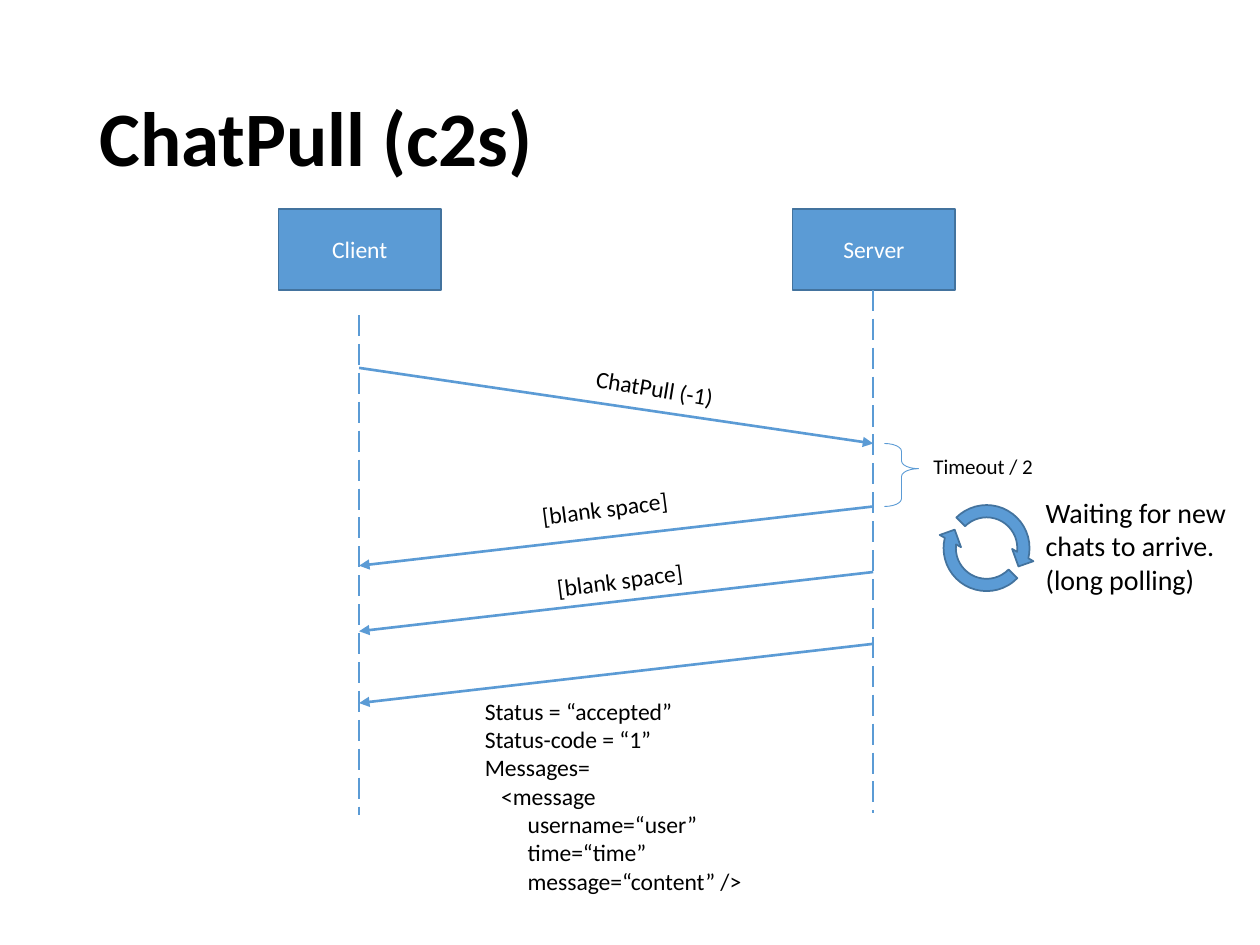
from pptx import Presentation
from pptx.dml.color import RGBColor
from pptx.enum.dml import MSO_LINE
from pptx.enum.shapes import MSO_CONNECTOR, MSO_SHAPE
from pptx.enum.text import MSO_ANCHOR, MSO_AUTO_SIZE, PP_ALIGN
from pptx.oxml.ns import qn
from pptx.util import Inches, Pt
from lxml.etree import SubElement

BLUE = RGBColor(0x5B, 0x9B, 0xD5)
DARK_BLUE = RGBColor(0x43, 0x73, 0x9E)
BLACK = RGBColor(0, 0, 0)
WHITE = RGBColor(255, 255, 255)
FONT = "Calibri"

CLIENT_X, SERVER_X = 2.85, 6.93
REPLY_DROP = 0.47

MESSAGE_LINES = [
    ("Status = “accepted”", 0),
    ("Status-code = “1”", 0),
    ("Messages=", 0),
    ("<message", 0.13),
    ("username=“user”", 0.34),
    ("time=“time”", 0.34),
    ("message=“content” />", 0.34),
]


def write_text(shape, lines, size=13.5, color=BLACK, bold=False,
               align=PP_ALIGN.LEFT, anchor=MSO_ANCHOR.TOP, wrap=True,
               grow=False, spacing=None):
    """Fill a shape with (text, indent) lines, or with one plain string."""
    if isinstance(lines, str):
        lines = [(lines, 0)]
    frame = shape.text_frame
    frame.word_wrap = wrap
    frame.vertical_anchor = anchor
    frame.auto_size = (MSO_AUTO_SIZE.SHAPE_TO_FIT_TEXT if grow
                       else MSO_AUTO_SIZE.NONE)
    for index, (text, indent) in enumerate(lines):
        paragraph = frame.add_paragraph() if index else frame.paragraphs[0]
        paragraph.text = text
        paragraph.alignment = align
        if spacing:
            paragraph.line_spacing = spacing
        if indent:
            paragraph._p.get_or_add_pPr().set("marL", str(Inches(indent)))
        for run in paragraph.runs:
            run.font.name = FONT
            run.font.size = Pt(size)
            run.font.bold = bold
            run.font.color.rgb = color


def add_label(slide, lines, left, top, width, height, rotation=0, **text_format):
    box = slide.shapes.add_textbox(
        Inches(left), Inches(top), Inches(width), Inches(height))
    box.rotation = rotation
    write_text(box, lines, **text_format)


def add_figure(slide, kind, left, top, width, height, fill=BLUE,
               line=DARK_BLUE, line_width=1, rotation=0, adjustments=()):
    shape = slide.shapes.add_shape(
        kind, Inches(left), Inches(top), Inches(width), Inches(height))
    shape.shadow.inherit = False
    if fill is None:
        shape.fill.background()
    else:
        shape.fill.solid()
        shape.fill.fore_color.rgb = fill
    shape.line.color.rgb = line
    shape.line.width = Pt(line_width)
    shape.rotation = rotation
    for index, value in enumerate(adjustments):
        shape.adjustments[index] = value
    return shape


def add_line(slide, start, end, dashed=False, arrow=False):
    connector = slide.shapes.add_connector(
        MSO_CONNECTOR.STRAIGHT, *(Inches(value) for value in start + end))
    connector.line.color.rgb = BLUE
    connector.line.width = Pt(1.5)
    if dashed:
        connector.line.dash_style = MSO_LINE.LONG_DASH
    if arrow:
        SubElement(connector.line._get_or_add_ln(), qn("a:tailEnd"),
                   type="triangle")
    SubElement(connector._element.spPr, qn("a:effectLst"))


def add_participant(slide, name, center_x, line_top, line_bottom):
    box = add_figure(slide, MSO_SHAPE.RECTANGLE,
                     center_x - 0.64, 1.66, 1.29, 0.64)
    write_text(box, name, color=WHITE, align=PP_ALIGN.CENTER,
               anchor=MSO_ANCHOR.MIDDLE)
    add_line(slide, (center_x, line_top), (center_x, line_bottom), dashed=True)


def add_polling_loop(slide):
    for rotation, sweep_start in ((210, 116.56), (30, 117.2)):
        add_figure(slide, MSO_SHAPE.CIRCULAR_ARROW, 7.44, 3.96, 0.78, 0.78,
                   rotation=rotation,
                   adjustments=(0.125, 11.42, 204.58, sweep_start, 0.125))
    add_label(slide, "Waiting for new\nchats to arrive.\n(long polling)",
              8.2, 3.88, 1.65, 0.91, size=16, wrap=False, grow=True)


def main():
    presentation = Presentation()
    presentation.slide_width = Inches(10)
    presentation.slide_height = Inches(7.5)
    slide = presentation.slides.add_slide(presentation.slide_layouts[6])

    # Title
    add_label(slide, "ChatPull (c2s)", 0.69, 0.4, 8.62, 1.45, size=44,
              bold=True, anchor=MSO_ANCHOR.MIDDLE, spacing=0.9)

    # Participants with their lifelines
    add_participant(slide, "Client", CLIENT_X, 2.5, 6.47)
    add_participant(slide, "Server", SERVER_X, 2.3, 6.45)

    # Request and replies
    add_line(slide, (CLIENT_X, 2.92), (SERVER_X, 3.52), arrow=True)
    for top in (4.02, 4.54, 5.11):
        add_line(slide, (SERVER_X, top), (CLIENT_X, top + REPLY_DROP),
                 arrow=True)

    # Message labels
    add_label(slide, "ChatPull (-1)", 4.63, 2.92, 1.15, 0.33, rotation=9.3,
              wrap=False, grow=True)
    for left, top in ((4.2, 3.87), (4.32, 4.44)):
        add_label(slide, "[blank space]", left, top, 1.22, 0.33,
                  rotation=352.6, wrap=False, grow=True)
    add_label(slide, MESSAGE_LINES, 3.75, 5.48, 2.26, 1.69,
              wrap=False, grow=True)

    # Timeout and long polling
    add_figure(slide, MSO_SHAPE.RIGHT_BRACE, 7.02, 3.52, 0.27, 0.5, fill=None,
               line=BLUE, line_width=0.5, adjustments=(0.23, 0.4))
    add_label(slide, "Timeout / 2", 7.31, 3.55, 1, 0.3, size=12, grow=True)
    add_polling_loop(slide)

    presentation.save("out.pptx")


main()
